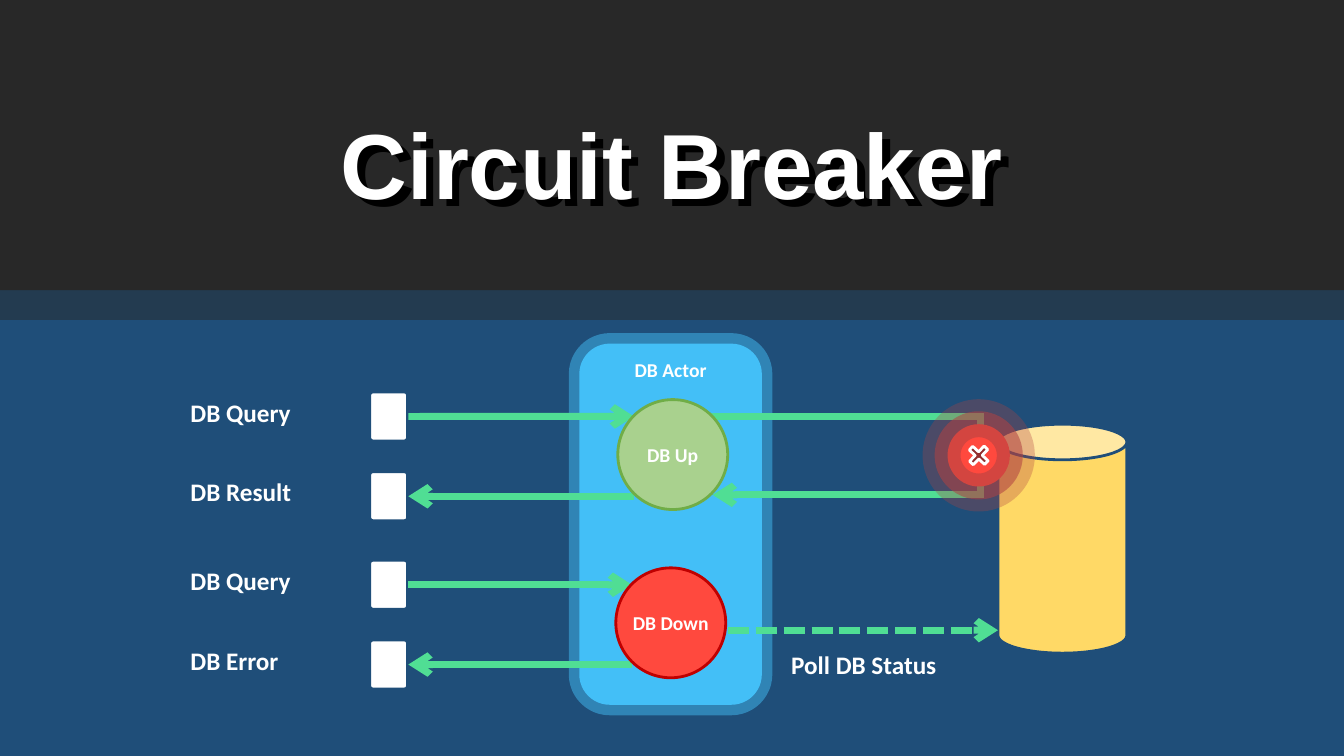
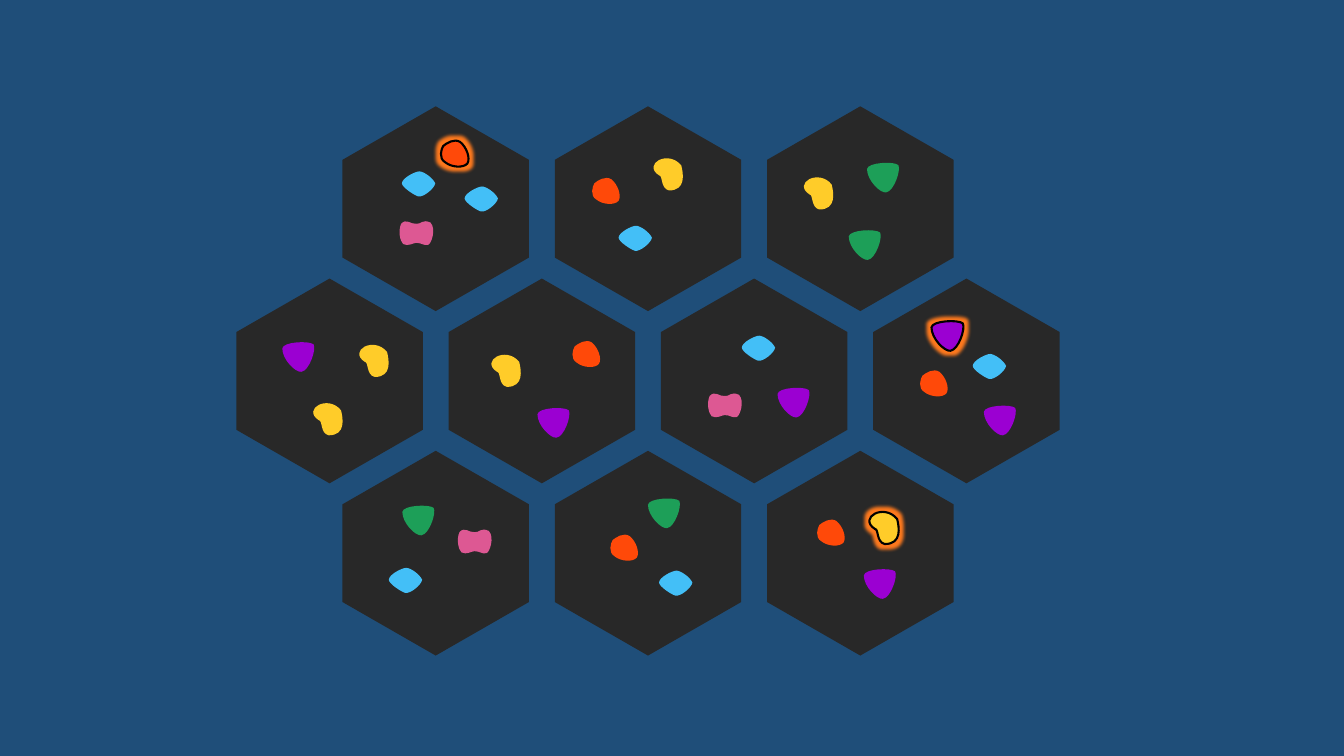
from dataclasses import dataclass
from itertools import pairwise

from lxml.etree import SubElement
from pptx import Presentation
from pptx.dml.color import RGBColor
from pptx.enum.dml import MSO_LINE
from pptx.enum.shapes import MSO_CONNECTOR, MSO_SHAPE
from pptx.enum.text import MSO_ANCHOR, PP_ALIGN
from pptx.oxml.ns import qn
from pptx.util import Cm, Pt


@dataclass(frozen=True)
class Theme:
    navy: str = "1F4E79"
    strip: str = "233B50"
    dark: str = "282828"
    white: str = "FFFFFF"
    black: str = "000000"
    sky: str = "43BFF7"
    arrow: str = "50DE94"
    database: str = "FFD966"
    up: str = "A9D18E"
    up_edge: str = "70AD47"
    down: str = "FF493E"
    down_edge: str = "C00000"
    pulse: str = "B04242"
    cross: str = "922E2E"
    yellow: str = "FFCC29"
    orange: str = "FF4909"
    pink: str = "DD5893"
    green: str = "1D9F58"
    purple: str = "9B00D2"
    glow: str = "FF7A1E"
    title_font: str = "Arial"
    body_font: str = "Calibri"
    title_size: int = 66
    label_size: int = 18
    small_size: int = 14


THEME = Theme()
WIDTH, HEIGHT = 33.87, 19.05

# Outlines in cm around their centre: a start point, then cubic curves
BEAN = [(-.28, .05), (-.71, -.23), (-.05, -.61), (.28, -.2),
        (.33, 0), (.41, .43), (-.03, .43),
        (-.25, .38), (-.18, .05), (-.28, .05)]
PEBBLE = [(-.32, -.22), (-.24, -.29), (-.04, -.42), (.11, -.32),
          (.27, -.19), (.37, .09), (.29, .22),
          (.19, .34), (-.11, .32), (-.27, .19),
          (-.44, .09), (-.37, -.14), (-.32, -.22)]
LENS = [(-.41, 0), (-.41, -.13), (-.08, -.3), (.03, -.3),
        (.13, -.3), (.36, -.15), (.43, 0),
        (.41, .13), (.13, .36), (0, .33),
        (-.1, .3), (-.41, .1), (-.41, 0)]
BONE = [(0, .24), (-.08, .24), (-.2, .34), (-.33, .27),
        (-.41, .19), (-.46, -.06), (-.38, -.24),
        (-.25, -.39), (-.13, -.22), (0, -.24),
        (.13, -.22), (.15, -.37), (.36, -.27),
        (.51, -.11), (.38, .27), (.3, .29),
        (.18, .32), (.15, .24), (0, .24)]
SHIELD = [(.36, -.32), (.43, -.19), (.25, .34), (.05, .37),
          (-.1, .39), (-.43, .06), (-.43, -.22),
          (-.41, -.39), (.25, -.42), (.36, -.32)]

ACTORS = {
    "yellow": (BEAN, THEME.yellow),
    "orange": (PEBBLE, THEME.orange),
    "blue": (LENS, THEME.sky),
    "pink": (BONE, THEME.pink),
    "green": (SHIELD, THEME.green),
    "purple": (SHIELD, THEME.purple),
}

# Rows of cells; each actor is its kind and its offset from the cell's centre.
# A fourth value of True highlights the actor.
CELL_ROWS = [
    [
        [("blue", -.44, -.64), ("blue", 1.14, -.26), ("pink", -.49, .62),
         ("orange", .51, -1.36, True)],
        [("orange", -1.03, -.42), ("yellow", .56, -.89), ("blue", -.33, .73)],
        [("yellow", -1, -.41), ("green", .6, -.78), ("green", .14, .92)],
    ],
    [
        [("purple", -.76, -.6), ("yellow", 1.17, -.53), ("yellow", .01, .94)],
        [("yellow", -.85, -.28), ("orange", 1.15, -.65), ("purple", .32, 1.06)],
        [("blue", .1, -.84), ("pink", -.74, .62), ("purple", 1.02, .55)],
        [("blue", .57, -.38), ("orange", -.79, .09), ("purple", .87, 1),
         ("purple", -.45, -1.13, True)],
    ],
    [
        [("green", -.41, -.82), ("pink", .98, -.29), ("blue", -.77, .67)],
        [("green", .43, -1), ("orange", -.57, -.11), ("blue", .69, .74)],
        [("orange", -.71, -.49), ("purple", .52, .78),
         ("yellow", .65, -.66, True)],
    ],
]


def rgb(color):
    return RGBColor.from_string(color)


def paint(shape, fill=None, line=None, weight=1, line_alpha=None):
    shape.shadow.inherit = False
    if fill:
        shape.fill.solid()
        shape.fill.fore_color.rgb = rgb(fill)
    else:
        shape.fill.background()
    if line:
        shape.line.color.rgb = rgb(line)
        shape.line.width = Pt(weight)
    else:
        shape.line.fill.background()
    if line_alpha:
        color = shape.element.spPr.find(f"{qn('a:ln')}//{qn('a:srgbClr')}")
        SubElement(color, qn("a:alpha"), val=str(line_alpha * 1000))


def add_effect(shape, name, color, **settings):
    effects = shape.element.spPr.find(qn("a:effectLst"))
    if effects is None:
        effects = SubElement(shape.element.spPr, qn("a:effectLst"))
    effect = SubElement(effects, qn(f"a:{name}"), **settings)
    SubElement(effect, qn("a:srgbClr"), val=color)


def add_part(slide, kind, box, adjust=None, **look):
    shape = slide.shapes.add_shape(kind, *map(Cm, box))
    if adjust is not None:
        shape.adjustments[0] = adjust
    paint(shape, **look)
    return shape


def write(shape, text, size=THEME.small_size, font=THEME.body_font,
          align=PP_ALIGN.CENTER, anchor=MSO_ANCHOR.MIDDLE, wrap=True):
    frame = shape.text_frame
    frame.word_wrap = wrap
    frame.vertical_anchor = anchor
    para = frame.paragraphs[0]
    para.alignment = align
    span = para.add_run()
    span.text = text
    span.font.name = font
    span.font.size = Pt(size)
    span.font.bold = True
    span.font.color.rgb = rgb(THEME.white)


def add_label(slide, box, text, **format):
    label = slide.shapes.add_textbox(*map(Cm, box))
    write(label, text, **format)
    return label


def add_line(slide, start, end, arrow=True, dash=None):
    line = slide.shapes.add_connector(
        MSO_CONNECTOR.STRAIGHT, *map(Cm, (*start, *end)))
    line.line.color.rgb = rgb(THEME.arrow)
    line.line.width = Pt(5)
    if dash:
        line.line.dash_style = dash
    properties = line.element.spPr
    if arrow:
        SubElement(properties.find(qn("a:ln")), qn("a:tailEnd"), type="arrow")
    else:
        properties.find(qn("a:ln")).set("cap", "sq")
    SubElement(properties, qn("a:effectLst"))
    return line


def new_slide(deck):
    slide = deck.slides.add_slide(deck.slide_layouts[6])
    slide.background.fill.solid()
    slide.background.fill.fore_color.rgb = rgb(THEME.navy)
    return slide


def draw_header(slide, box, title):
    left, top, width, height = box
    strip = 0.74
    add_part(slide, MSO_SHAPE.RECTANGLE, (left, top + height - strip, width, strip),
             fill=THEME.strip)
    add_part(slide, MSO_SHAPE.RECTANGLE, (left, top, width, height - strip),
             fill=THEME.dark)
    label = add_label(slide, (left, top + 2.57, width, 3.07), title,
                      size=THEME.title_size, font=THEME.title_font)
    add_effect(label, "outerShdw", THEME.black, blurRad="0", dist=str(Pt(7)),
               dir="2400000", algn="tl", rotWithShape="0")


def draw_exchange(slide, box, request, reply, state, fill, edge):
    """Two labelled cards on the left, joined to a state circle on the right."""
    left, top, width, pitch = box
    card_width, card_height, circle = 0.99, 1.27, 2.77
    card_left, hub = left + 4.75, left + width - circle
    for row, text in enumerate((request, reply)):
        card_top = top + row * pitch
        middle = card_top + card_height / 2
        add_label(slide, (left, card_top - 0.07, 3.3, 1.19), text,
                  size=THEME.label_size, align=PP_ALIGN.LEFT)
        card = add_part(slide, MSO_SHAPE.ROUNDED_RECTANGLE,
                        (card_left, card_top, card_width, card_height),
                        adjust=0.1, fill=THEME.white, line=THEME.navy, weight=3)
        ends = [(card_left + card_width, middle), (hub + 0.41, middle)]
        if row == 0:
            add_line(slide, *ends).begin_connect(card, 3)
        else:
            add_line(slide, *reversed(ends)).end_connect(card, 3)
    node = add_part(slide, MSO_SHAPE.OVAL, (hub, top + 0.21, circle, circle),
                    fill=fill, line=edge, weight=2)
    write(node, state, wrap=False)


def draw_pulse(slide, box):
    """A failure mark with two translucent rings."""
    left, top, size = box
    ring = (left, top, size, size)
    add_part(slide, MSO_SHAPE.OVAL, ring, line=THEME.pulse, weight=35.75,
             line_alpha=31)
    add_part(slide, MSO_SHAPE.OVAL, ring, fill=THEME.down, line=THEME.pulse,
             weight=18.5, line_alpha=54)
    inset = 0.52
    arm = size - 2 * inset
    cross = add_part(slide, MSO_SHAPE.CROSS, (left + inset, top + inset, arm, arm),
                     adjust=0.38, fill=THEME.cross, line=THEME.white, weight=2)
    cross.rotation = 313.5


def draw_breaker_slide(deck):
    slide = new_slide(deck)
    draw_header(slide, (0, 0, WIDTH, 8.06), "Circuit Breaker")
    # Database and actor
    add_part(slide, MSO_SHAPE.CAN, (25.15, 10.69, 3.25, 5.77), adjust=0.276,
             fill=THEME.database, line=THEME.navy, weight=2)
    actor = add_part(slide, MSO_SHAPE.ROUNDED_RECTANGLE, (14.6, 8.66, 4.6, 9.1),
                     fill=THEME.sky, line=THEME.sky, weight=15, line_alpha=48)
    write(actor, "DB Actor", anchor=MSO_ANCHOR.TOP)
    # Loop to the database and back
    corners = [(17.91, 10.49), (24.71, 10.49), (24.71, 12.47), (17.96, 12.47)]
    for start, end in pairwise(corners):
        add_line(slide, start, end, arrow=end == corners[-1])
    # Status poll
    add_line(slide, (18.34, 15.88), (25.15, 15.88), dash=MSO_LINE.SQUARE_DOT)
    add_label(slide, (19.46, 16.15, 4.62, 1.19), "Poll DB Status",
              size=THEME.label_size)
    # Exchanges in both states
    draw_exchange(slide, (4.55, 9.86, 13.79, 2.01), "DB Query", "DB Result",
                  "DB Up", THEME.up, THEME.up_edge)
    draw_exchange(slide, (4.55, 14.1, 13.74, 2.01), "DB Query", "DB Error",
                  "DB Down", THEME.down, THEME.down_edge)
    draw_pulse(slide, (23.88, 10.69, 1.57))


def add_curved_outline(slide, points):
    """Build a freeform through the curve ends, then bend its sides."""
    builder = slide.shapes.build_freeform(*points[0])
    builder.add_line_segments(points[3::3], close=True)
    shape = builder.convert_to_shape()
    sides = list(shape.element.spPr.iter(qn("a:lnTo")))
    for index, side in enumerate(sides):
        side.remove(side[0])
        for x, y in points[3 * index + 1:3 * index + 4]:
            SubElement(side, qn("a:pt"), x=str(x - shape.left), y=str(y - shape.top))
        side.tag = qn("a:cubicBezTo")
    return shape


def draw_actor(slide, center, kind, highlight=False):
    outline, color = ACTORS[kind]
    points = [(Cm(center[0] + x), Cm(center[1] + y)) for x, y in outline]
    actor = add_curved_outline(slide, points)
    paint(actor, fill=color, line=THEME.black if highlight else None, weight=1.5)
    if highlight:
        add_effect(actor, "glow", THEME.glow, rad=str(Pt(5)))


def draw_cell(slide, center, actors):
    length, breadth = 5.16, 4.7
    x, y = center
    cell = add_part(slide, MSO_SHAPE.HEXAGON,
                    (x - length / 2, y - breadth / 2, length, breadth),
                    adjust=0.287, fill=THEME.dark)
    cell.rotation = 90
    for kind, across, down, *highlight in actors:
        draw_actor(slide, (x + across, y + down), kind, *highlight)


def draw_cluster_slide(deck):
    slide = new_slide(deck)
    middle, top, column_pitch, row_pitch = 16.33, 5.26, 5.35, 4.34
    for row, cells in enumerate(CELL_ROWS):
        first = middle - column_pitch * (len(cells) - 1) / 2
        for column, actors in enumerate(cells):
            draw_cell(slide, (first + column * column_pitch, top + row * row_pitch),
                      actors)


def main():
    deck = Presentation()
    deck.slide_width, deck.slide_height = Cm(WIDTH), Cm(HEIGHT)
    draw_breaker_slide(deck)
    draw_cluster_slide(deck)
    deck.save("out.pptx")


if __name__ == "__main__":
    main()
